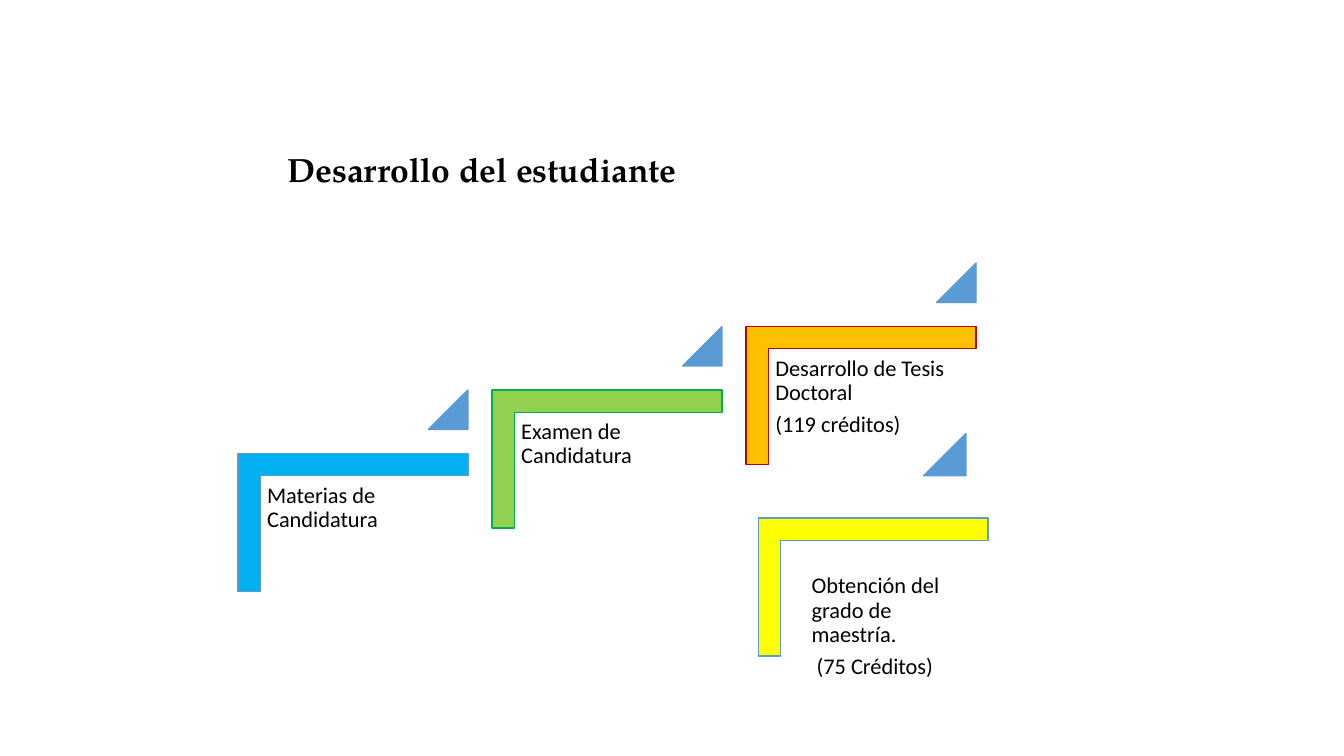
from pptx import Presentation
from pptx.dml.color import RGBColor
from pptx.enum.shapes import MSO_SHAPE
from pptx.enum.text import MSO_ANCHOR, MSO_AUTO_SIZE, PP_ALIGN
from pptx.util import Inches, Pt

CORNER, TRIANGLE = MSO_SHAPE.from_xml("corner"), MSO_SHAPE.ISOSCELES_TRIANGLE
LEFT, TOP, GROW = PP_ALIGN.LEFT, MSO_ANCHOR.TOP, MSO_AUTO_SIZE.SHAPE_TO_FIT_TEXT

TITLE = "Desarrollo del estudiante"
# Lines of text, fill, outline
STAIRS = [
    (["Materias de Candidatura"], "00B0F0", "5B9BD5"),
    (["Examen de Candidatura"], "92D050", "00B050"),
    (["Desarrollo de Tesis Doctoral", "(119 créditos)"], "FFC000", "C00000"),
]
BRANCH = (["Obtención del grado de maestría.", " (75 Créditos)"], "FFFF00", "5B9BD5")

THEME = {
    "accent": "5B9BD5",
    "title": {"name": "TeX Gyre Pagella", "size": Pt(24), "bold": True},
    "body": {"name": "Calibri", "size": Pt(16), "bold": False},
    "text": "000000",
}

# Inches: first stair, rise to the next one, and the branch below the last
START, RISE, BRANCH_AT = (2.36, 4.5), (2.52, -0.63), (7.52, 5.14)
BAR_WIDTH, BAR_HEIGHT, BAR_SHARE = 2.28, 1.37, 0.161
# Left, top, width, height measured from the top left of the bar
STAIR_TEXT, STAIR_MARK = (0.22, 0.23, 2.06, 1.81), (1.89, -0.63, 0.39, 0.39)
BRANCH_TEXT, BRANCH_MARK = (0.46, 0.49, 1.67, 1.22), (1.64, -0.84, 0.42, 0.42)


def style_text(para, style):
    for name, value in THEME[style].items():
        setattr(para.font, name, value)
    para.font.color.rgb = RGBColor.from_string(THEME["text"])


def add_solid(page, kind, box, fill, line, adjustments):
    shape = page.shapes.add_shape(kind, *map(Inches, box))
    shape.shadow.inherit = False
    shape.fill.solid()
    shape.fill.fore_color.rgb = RGBColor.from_string(fill)
    shape.line.color.rgb = RGBColor.from_string(line)
    shape.line.width = Pt(1)
    for index, value in enumerate(adjustments):
        shape.adjustments[index] = value
    return shape


def add_stair(page, stair, left, top, text_box, mark_box):
    lines, fill, line = stair
    # The corner stands upright and is turned a quarter about its centre
    shift = (BAR_WIDTH - BAR_HEIGHT) / 2
    bar_box = (left + shift, top - shift, BAR_HEIGHT, BAR_WIDTH)
    bar = add_solid(page, CORNER, bar_box, fill, line, [BAR_SHARE, BAR_SHARE])
    bar.rotation = 90

    def from_bar(box):
        return (left + box[0], top + box[1], *box[2:])

    frame = page.shapes.add_textbox(*map(Inches, from_bar(text_box))).text_frame
    frame.word_wrap = True
    for side in ("left", "top", "right", "bottom"):
        setattr(frame, f"margin_{side}", Inches(0.07))
    frame.text = "\n".join(lines)
    for para in frame.paragraphs:
        para.line_spacing = 0.9
        para.space_after = Pt(5.6)
        style_text(para, "body")

    add_solid(page, TRIANGLE, from_bar(mark_box), THEME["accent"], THEME["accent"], [1])


def add_title(page):
    title = page.shapes.title
    title.left, title.top, title.width, title.height = map(Inches, (2.75, 1.43, 6.29, 0.5))
    frame = title.text_frame
    frame.text = TITLE
    for name, value in {"word_wrap": True, "auto_size": GROW, "vertical_anchor": TOP}.items():
        setattr(frame, name, value)
    para = frame.paragraphs[0]
    para.alignment = LEFT
    style_text(para, "title")


def main():
    deck = Presentation()
    deck.slide_width, deck.slide_height = Inches(13.33), Inches(7.5)
    page = deck.slides.add_slide(deck.slide_layouts.get_by_name("Title Only"))
    add_title(page)
    for index, stair in enumerate(STAIRS):
        left, top = (start + index * rise for start, rise in zip(START, RISE))
        add_stair(page, stair, left, top, STAIR_TEXT, STAIR_MARK)
    add_stair(page, BRANCH, *BRANCH_AT, BRANCH_TEXT, BRANCH_MARK)
    deck.save("out.pptx")


if __name__ == "__main__":
    main()
